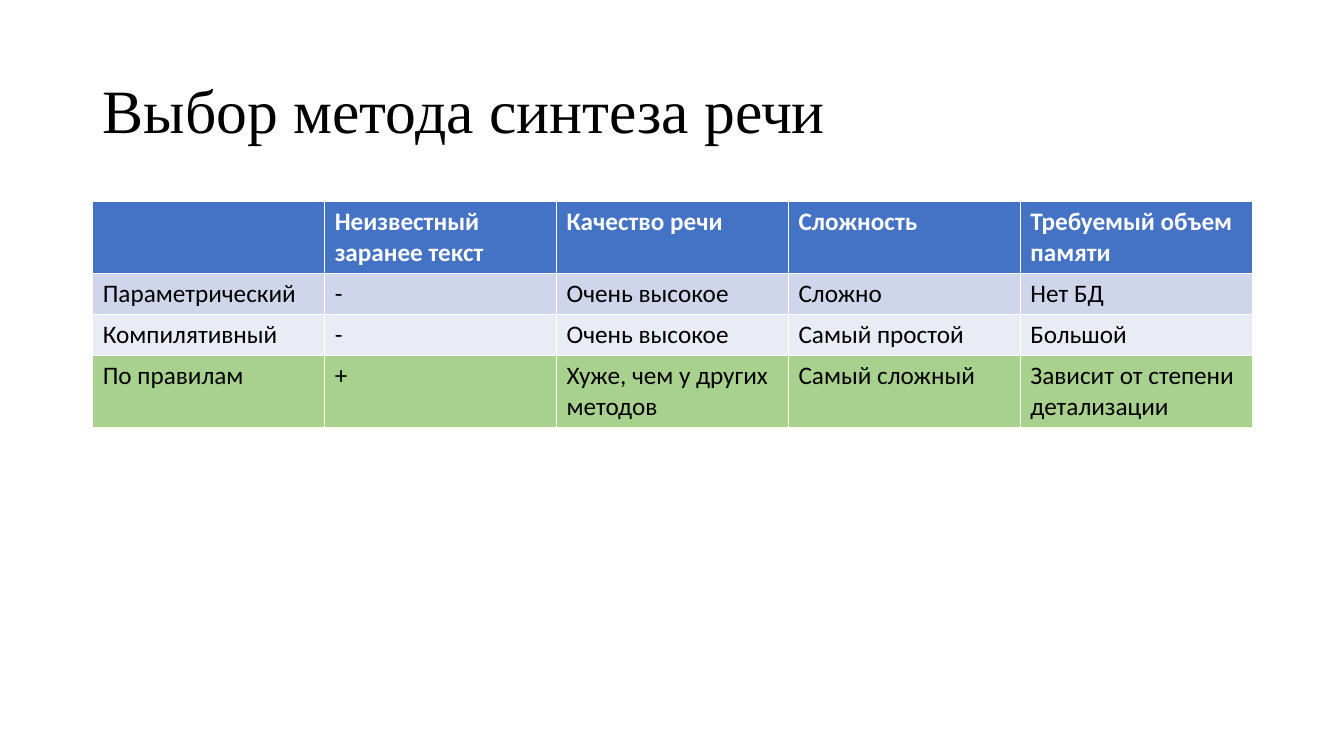
"""Builds a slide comparing speech synthesis methods in a table."""
import pptx
import pptx.util
import pptx.dml.color
import pptx.enum.text


def paint(color_format, value):
    color_format.rgb = pptx.dml.color.RGBColor.from_string(value)


prs = pptx.Presentation()
prs.slide_width = pptx.util.Inches(13.33)
prs.slide_height = pptx.util.Inches(7.5)
s = prs.slides.add_slide(prs.slide_layouts[5])

left = pptx.util.Inches(0.92)
width = pptx.util.Inches(11.5)

title = s.shapes.title
title.left, title.top = left, pptx.util.Inches(0.4)
title.width, title.height = width, pptx.util.Inches(1.45)
tf = title.text_frame
tf.text = "Выбор метода синтеза речи"
tf.auto_size = pptx.enum.text.MSO_AUTO_SIZE.NONE
tf.vertical_anchor = pptx.enum.text.MSO_ANCHOR.MIDDLE
p = tf.paragraphs[0]
p.alignment = pptx.enum.text.PP_ALIGN.LEFT
p.line_spacing = 0.9
p.font.name = "Times New Roman"
p.font.size = pptx.util.Pt(44)
paint(p.font.color, "000000")

rows = [
    ("4472C4", 0.69, ["", "Неизвестный заранее текст", "Качество речи", "Сложность",
                      "Требуемый объем памяти"]),
    ("CFD5EA", 0.41, ["Параметрический", "-", "Очень высокое", "Сложно", "Нет БД"]),
    ("E9EBF5", 0.41, ["Компилятивный", "-", "Очень высокое", "Самый простой", "Большой"]),
    ("A9D18E", 0.7, ["По правилам", "+", "Хуже, чем у других методов", "Самый сложный",
                     "Зависит от степени детализации"]),
]
height = pptx.util.Inches(sum(row_height for fill, row_height, texts in rows))
table = s.shapes.add_table(len(rows), len(rows[0][2]), left, pptx.util.Inches(2),
                           width, height).table

for i, (fill, row_height, texts) in enumerate(rows):
    table.rows[i].height = pptx.util.Inches(row_height)
    for cell, text in zip(table.rows[i].cells, texts):
        cell.fill.solid()
        paint(cell.fill.fore_color, fill)
        cell.text = text
        p = cell.text_frame.paragraphs[0]
        p.font.name = "Calibri"
        p.font.size = pptx.util.Pt(18)
        p.font.bold = i == 0
        paint(p.font.color, "FFFFFF" if i == 0 else "000000")

prs.save("out.pptx")
